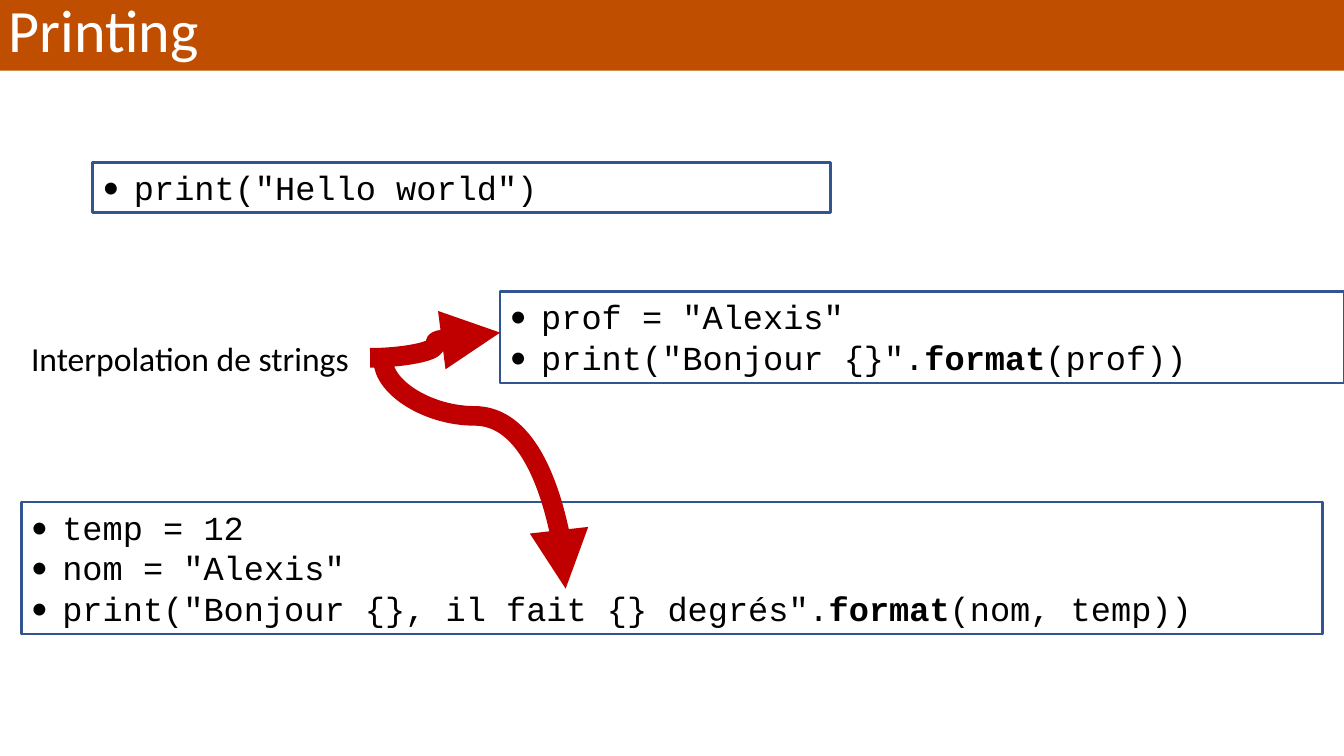
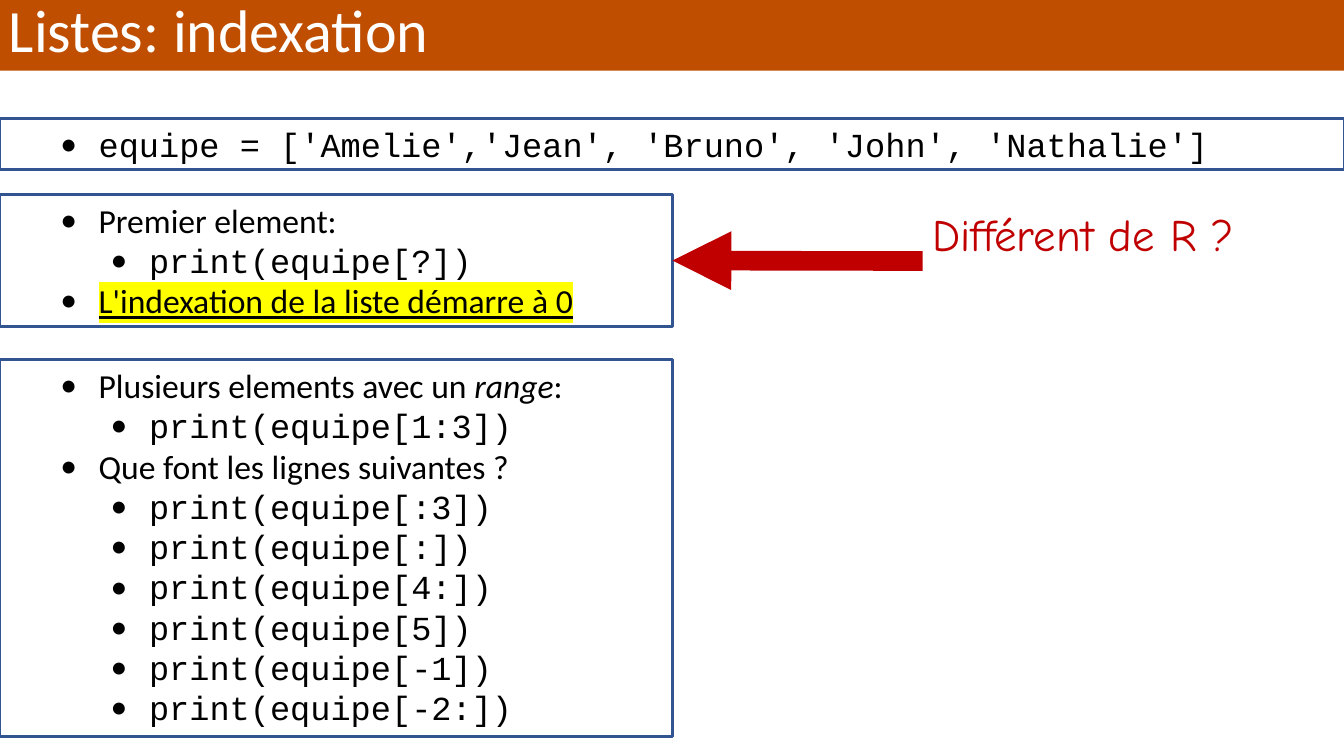
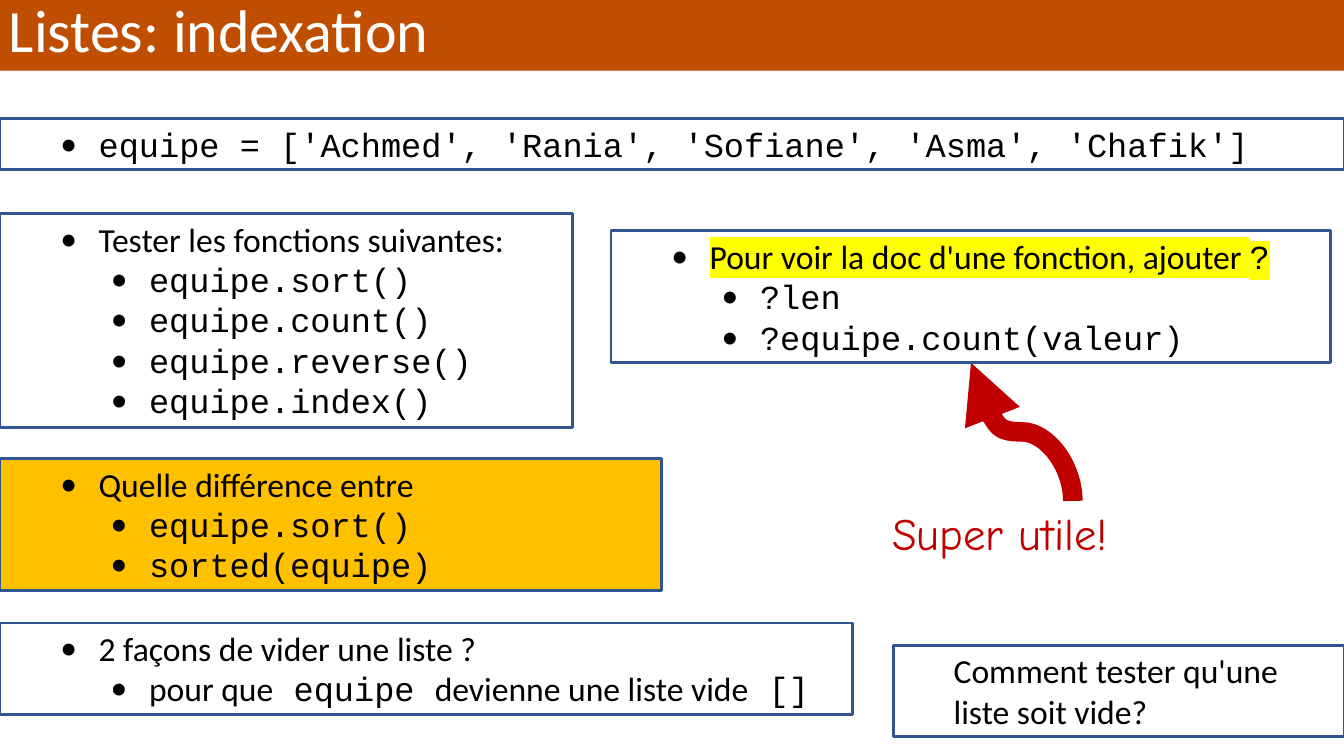
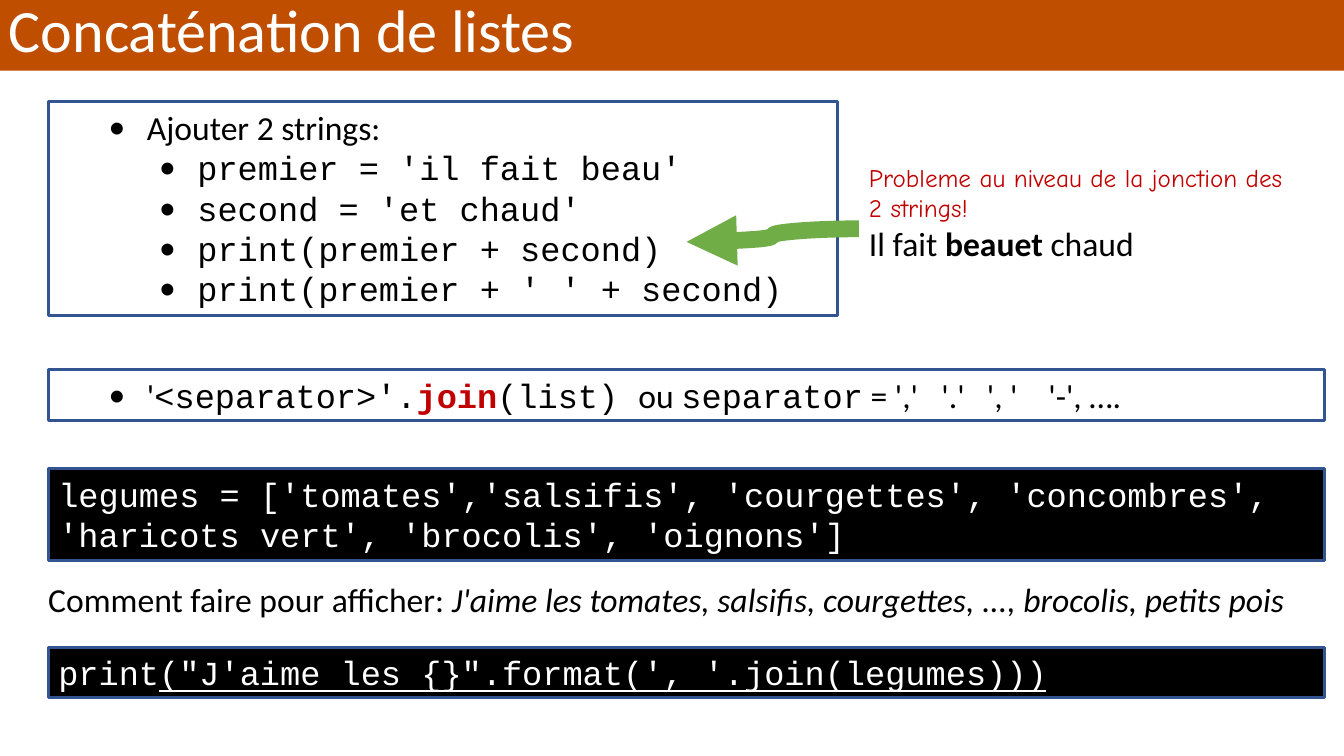
"""Build four slides that introduce printing and lists in Python."""
from dataclasses import dataclass

from lxml.etree import SubElement
from pptx import Presentation
from pptx.dml.color import RGBColor
from pptx.enum.shapes import MSO_CONNECTOR, MSO_SHAPE
from pptx.enum.text import MSO_ANCHOR, PP_ALIGN
from pptx.oxml.ns import qn
from pptx.util import Inches, Pt


@dataclass(frozen=True)
class Theme:
    band: str = "C04E00"
    outline: str = "325491"
    red: str = "C00000"
    green: str = "70AD47"
    gold: str = "FFC000"
    yellow: str = "FFFF00"
    black: str = "000000"
    white: str = "FFFFFF"
    body: str = "Calibri"
    code: str = "Courier New"
    hand: str = "Comic Neue"
    title_size: float = 42.9
    remark_size: int = 32
    text_size: int = 24
    small_size: int = 18


THEME = Theme()
WIDTH, HEIGHT = 13.33, 7.5
LINE_HEIGHT, PADDING = 0.404, 0.1

CODE = dict(font=THEME.code)
BODY = dict(font=THEME.body)
BOLD = dict(bold=True)
ITALIC = dict(italic=True)
UNDERLINE = dict(underline=True)
MARKED = dict(highlight=THEME.yellow)
REMARK = dict(font=THEME.hand, color=THEME.red)

STYLES = {
    "line": dict(left=0.31, hang=0.31, run=CODE),
    "point": dict(level=1, left=0.88, hang=0.38, run=BODY),
    "step": dict(level=2, left=1.38, hang=0.38, run=CODE),
    "question": dict(level=1, left=0.5, run=BODY),
    "plain": dict(run=BODY),
    "listing": dict(run=CODE | dict(color=THEME.white)),
    "remark": dict(run=REMARK | dict(size=THEME.remark_size)),
    "small remark": dict(run=REMARK | dict(size=THEME.small_size)),
    "title": dict(spacing=0.8, run=dict(size=THEME.title_size, color=THEME.white)),
    "separators": dict(level=1, left=0.88, hang=0.38, tabs=(8.76, 9.21, 9.82), run=BODY),
}


def steps(*lines):
    return [("step", line) for line in lines]


SLIDES = [
    dict(
        title="Printing",
        boxes=[
            dict(at=(0.92, 1.61, 7.32), text=[("line", 'print("Hello world")')]),
            dict(at=(4.96, 2.89, 8.37), text=[
                ("line", 'prof = "Alexis"'),
                ("line", 'print("Bonjour {}".', ("format", BOLD), "(prof))")]),
            dict(at=(0.21, 4.98, 12.91), text=[
                ("line", "temp = 12"),
                ("line", 'nom = "Alexis"'),
                ("line", 'print("Bonjour {}, il fait {} degrés".',
                 ("format", BOLD), "(nom, temp))")]),
        ],
        labels=[dict(at=(0.21, 3.3, 3.46), wrap=False,
                     text=[("plain", "Interpolation de strings")])],
        arrows=[
            dict(start=(3.67, 3.55), end=(4.96, 3.3)),
            dict(start=(3.8, 3.57), end=(5.61, 5.84), upright=True, bend=0.245),
        ],
    ),
    dict(
        title="Listes: indexation",
        boxes=[
            dict(at=(0, 1.93, 6.67), text=[
                ("point", "Premier element:"),
                *steps("print(equipe[?])"),
                ("point", ("L'indexation de la liste démarre à 0", UNDERLINE | MARKED))]),
            dict(at=(0, 3.57, 6.67), text=[
                ("point", "Plusieurs elements avec un ", ("range", ITALIC), ":"),
                *steps("print(equipe[1:3])"),
                ("point", "Que font les lignes suivantes ?"),
                *steps("print(equipe[:3])", "print(equipe[:])", "print(equipe[4:])",
                       "print(equipe[5])", "print(equipe[-1])", "print(equipe[-2:])")]),
            dict(at=(0, 1.18, WIDTH), text=[
                ("point", ("equipe = ['Amelie','Jean', 'Bruno', 'John', 'Nathalie']", CODE))]),
        ],
        labels=[dict(at=(9.15, 2, 3.8), height=1.18, text=[("remark", "Différent de R ?")])],
        arrows=[dict(start=(9.15, 2.59), end=(6.67, 2.59), label_to_box=(0, 0))],
    ),
    dict(
        title="Listes: indexation",
        boxes=[
            dict(at=(0, 1.18, WIDTH), text=[
                ("point", ("equipe = ['Achmed', 'Rania', 'Sofiane', 'Asma', 'Chafik']", CODE))]),
            dict(at=(0, 2.12, 5.68), text=[
                ("point", "Tester les fonctions suivantes:"),
                *steps("equipe.sort()", "equipe.count()", "equipe.reverse()",
                       "equipe.index()")]),
            dict(at=(0, 4.55, 6.56), fill=THEME.gold, text=[
                ("point", "Quelle différence entre"),
                *steps("equipe.sort()", "sorted(equipe)")]),
            dict(at=(0, 6.18, 8.46), text=[
                ("point", "2 façons de vider une liste ?"),
                ("step", ("pour que", BODY), " equipe ",
                 ("devienne une liste vide", BODY), " []")]),
            dict(at=(6.06, 2.29, 7.14), text=[
                ("point", ("Pour voir la doc d'une fonction, ajouter ", MARKED),
                 ("?", CODE | MARKED)),
                *steps("?len", "?equipe.count(valeur)")]),
            dict(at=(8.86, 6.4, 4.47), lines=2, text=[
                ("question", "Comment tester qu'une liste soit vide?")]),
        ],
        labels=[dict(at=(8.75, 4.97, 3.8), height=0.64, text=[("remark", "Super utile!")])],
        arrows=[dict(start=(10.64, 4.97), end=(9.63, 3.6), upright=True)],
    ),
    dict(
        title="Concaténation de listes",
        boxes=[
            dict(at=(0.48, 1.01, 7.83), text=[
                ("point", "Ajouter 2 strings:"),
                *steps("premier = 'il fait beau'", "second = 'et chaud'",
                       "print(premier + second)", "print(premier + ' ' + second)")]),
            dict(at=(0.48, 3.67, 12.66), text=[
                ("separators", "'", ("<separator>'.", CODE),
                 ("join", CODE | BOLD | dict(color=THEME.red)), ("(list) ", CODE),
                 "ou ", ("separator", CODE), " = ','\t'.'\t', '\t'-', ….")]),
            dict(at=(0.48, 4.65, 12.66), fill=THEME.black, lines=2, text=[
                ("listing", "legumes = ['tomates','salsifis', 'courgettes', 'concombres', "
                            "'haricots vert', 'brocolis', 'oignons']")]),
            dict(at=(0.48, 6.42, 12.66), fill=THEME.black, text=[
                ("listing", "print",
                 ("(\"J'aime les {}\".format(', '.join(legumes)))", UNDERLINE))]),
        ],
        labels=[
            dict(at=(8.52, 1.56, 4.42), height=1.41, text=[
                ("small remark", "Probleme au niveau de la jonction des 2 strings!"),
                ("plain", "Il fait ", ("beauet", BOLD), " chaud")]),
            dict(at=(0.38, 5.69, 12.95), text=[
                ("plain", "Comment faire pour afficher: ",
                 ("J'aime les tomates, salsifis, courgettes, ..., brocolis, petits pois",
                  ITALIC))]),
        ],
        arrows=[dict(start=(8.52, 2.27), end=(6.81, 2.4), color=THEME.green, weight=12)],
    ),
]


def rgb(color):
    return RGBColor.from_string(color)


def add_run(paragraph, text, font=THEME.body, size=THEME.text_size, color=THEME.black,
            bold=False, italic=False, underline=False, highlight=None):
    run = paragraph.add_run()
    run.text = text
    style = run.font
    style.name, style.size = font, Pt(size)
    style.bold, style.italic, style.underline = bold, italic, underline
    style.color.rgb = rgb(color)
    if highlight:
        properties = run._r.get_or_add_rPr()
        marker = SubElement(properties, qn("a:highlight"))
        SubElement(marker, qn("a:srgbClr"), val=highlight)
        properties.find(qn("a:solidFill")).addnext(marker)


def format_paragraph(paragraph, level=0, left=0, hang=0, spacing=None, tabs=()):
    paragraph.alignment = PP_ALIGN.LEFT
    paragraph.level = level
    if spacing:
        paragraph.line_spacing = spacing
    properties = paragraph._p.get_or_add_pPr()
    properties.set("marL", str(Inches(left)))
    properties.set("indent", str(Inches(-hang)))
    if hang:
        SubElement(properties, qn("a:buFont"), typeface=THEME.body)
        SubElement(properties, qn("a:buChar"), char="•")
    if tabs:
        stops = SubElement(properties, qn("a:tabLst"))
        for stop in tabs:
            SubElement(stops, qn("a:tab"), pos=str(Inches(stop)), algn="l")


def write(frame, paragraphs, wrap=True, anchor=MSO_ANCHOR.TOP):
    frame.word_wrap = wrap
    frame.vertical_anchor = anchor
    for index, (style, *runs) in enumerate(paragraphs):
        paragraph = frame.add_paragraph() if index else frame.paragraphs[0]
        layout = dict(STYLES[style])
        base = layout.pop("run")
        format_paragraph(paragraph, **layout)
        for run in runs:
            text, extra = (run, {}) if isinstance(run, str) else run
            add_run(paragraph, text, **(base | extra))


def add_rectangle(slide, left, top, width, height, fill=None, outline=None):
    rectangle = slide.shapes.add_shape(
        MSO_SHAPE.RECTANGLE, *map(Inches, (left, top, width, height)))
    rectangle.shadow.inherit = False
    if fill:
        rectangle.fill.solid()
        rectangle.fill.fore_color.rgb = rgb(fill)
    else:
        rectangle.fill.background()
    if outline:
        rectangle.line.color.rgb = rgb(outline)
        rectangle.line.width = Pt(2)
    else:
        rectangle.line.fill.background()
    return rectangle


def add_title(slide, title):
    band = add_rectangle(slide, -0.01, -0.01, WIDTH + 0.01, 0.71, fill=THEME.band)
    write(band.text_frame, [("title", title)], anchor=MSO_ANCHOR.MIDDLE)


def text_height(lines):
    return round(PADDING + LINE_HEIGHT * lines, 2)


def add_box(slide, at, text, fill=None, lines=None):
    box = add_rectangle(slide, *at, text_height(lines or len(text)), fill, THEME.outline)
    write(box.text_frame, text)
    return box


def add_label(slide, at, text, height=None, wrap=True):
    size = (*at, height or text_height(len(text)))
    label = slide.shapes.add_textbox(*map(Inches, size))
    write(label.text_frame, text, wrap)
    return label


def add_arrow(slide, boxes, labels, start, end, color=THEME.red, weight=14,
              upright=False, bend=None, label_to_box=None):
    (x1, y1), (x2, y2) = start, end
    if upright:
        middle_x, middle_y = (x1 + x2) / 2, (y1 + y2) / 2
        half_x, half_y = (x2 - x1) / 2, (y2 - y1) / 2
        x1, x2 = middle_x + half_y, middle_x - half_y
        y1, y2 = middle_y - half_x, middle_y + half_x
    kind = MSO_CONNECTOR.STRAIGHT if label_to_box else MSO_CONNECTOR.CURVE
    arrow = slide.shapes.add_connector(kind, *map(Inches, (x1, y1, x2, y2)))
    if label_to_box:
        label, box = label_to_box
        arrow.begin_connect(labels[label], 1)
        arrow.end_connect(boxes[box], 3)
    arrow.line.color.rgb = rgb(color)
    arrow.line.width = Pt(weight)
    properties = arrow._element.spPr
    SubElement(properties.find(qn("a:ln")), qn("a:tailEnd"), type="triangle")
    SubElement(properties, qn("a:effectLst"))
    if upright:
        properties.find(qn("a:xfrm")).set("rot", str(270 * 60000))
    if bend:
        geometry = properties.find(qn("a:prstGeom"))
        adjustments = geometry.find(qn("a:avLst"))
        if adjustments is None:
            adjustments = SubElement(geometry, qn("a:avLst"))
        SubElement(adjustments, qn("a:gd"), name="adj1", fmla=f"val {round(bend * 100000)}")


def main():
    deck = Presentation()
    deck.slide_width, deck.slide_height = Inches(WIDTH), Inches(HEIGHT)
    for content in SLIDES:
        slide = deck.slides.add_slide(deck.slide_layouts[6])
        add_title(slide, content["title"])
        boxes = [add_box(slide, **box) for box in content["boxes"]]
        labels = [add_label(slide, **label) for label in content["labels"]]
        for arrow in content["arrows"]:
            add_arrow(slide, boxes, labels, **arrow)
    deck.save("out.pptx")


if __name__ == "__main__":
    main()
